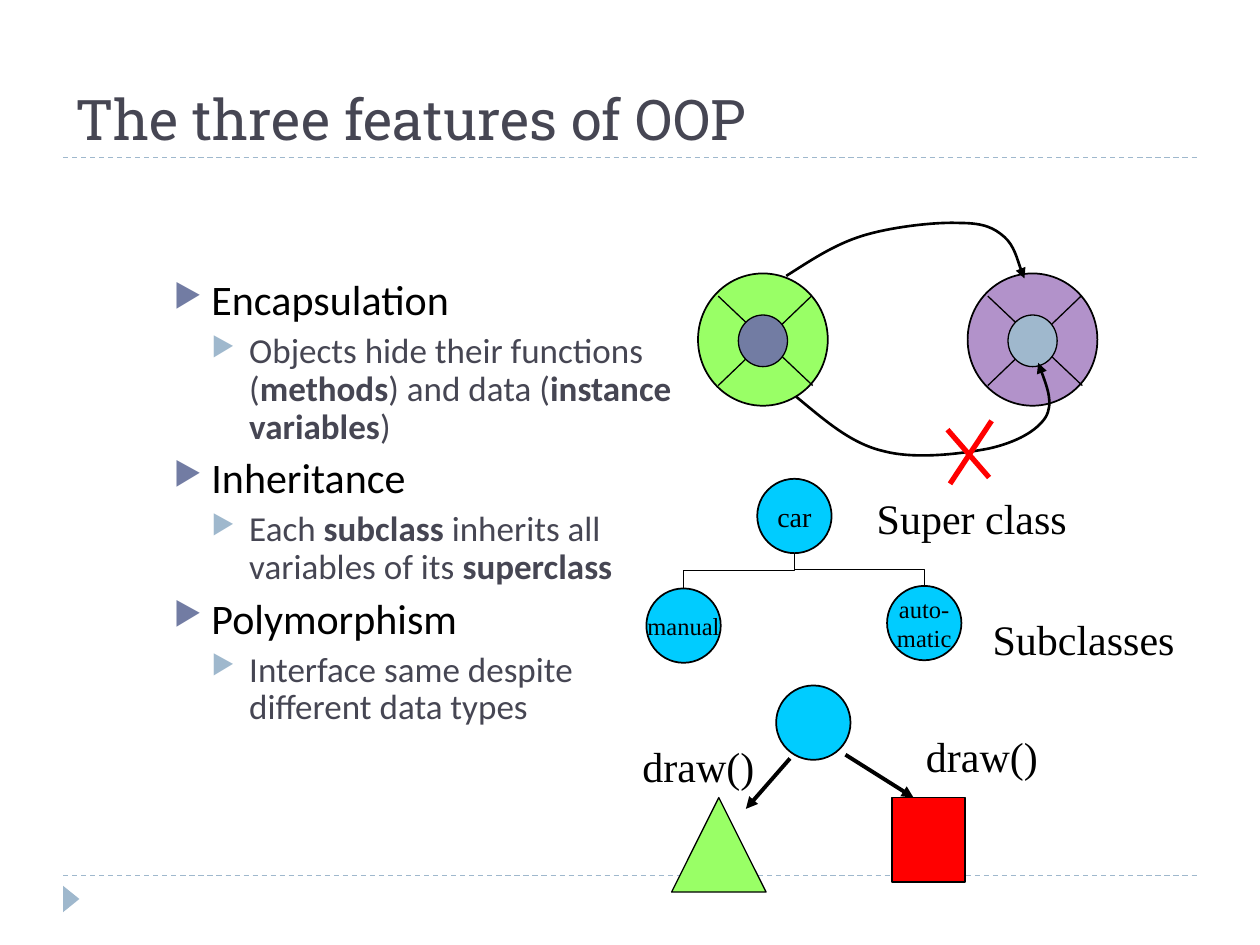
from lxml.etree import SubElement
from pptx import Presentation
from pptx.dml.color import RGBColor
from pptx.enum.dml import MSO_LINE
from pptx.enum.shapes import MSO_CONNECTOR, MSO_SHAPE
from pptx.enum.text import MSO_ANCHOR, MSO_AUTO_SIZE, PP_ALIGN
from pptx.oxml.ns import qn
from pptx.util import Inches, Pt

COLORS = {"black": "000000", "text": "464653", "slate": "727CA3", "mist": "9FB8CD",
          "green": "99FF66", "purple": "B292CA", "cyan": "00CCFF", "red": "FF0000"}
SERIF = "Times New Roman"

TITLE = "The three features of OOP"
# feature, then its explanation as (text, bold) runs
FEATURES = [
    ("Encapsulation", [("Objects hide their functions (", False), ("methods", True),
                       (") and data (", False), ("instance variables", True), (")", False)]),
    ("Inheritance", [("Each ", False), ("subclass", True),
                     (" inherits all variables of its ", False), ("superclass", True)]),
    ("Polymorphism", [("Interface same despite different data types", False)]),
]
# size, colour, left indent, space before, bullet colour
LEVELS = [(24, "black", 0.3, 6, "slate"), (20, "text", 0.6, 5, "mist")]

NODE = 0.59
PARENT = (6.01, 3.8, ["car"], 16)
CHILDREN = [(5.13, 4.67, ["manual"], 14), (7.04, 4.65, ["auto-", "matic"], 14)]
LABELS = [("Super class", 6.86, 3.86, 1.71), ("Subclasses", 7.78, 4.82, 1.7),
          ("draw()", 5, 5.83, 1.09), ("draw()", 7.25, 5.75, 1.09)]
WHEELS = [(5.54, "green", "slate"), (7.68, "purple", "mist")]
DRAW_ARROWS = [(6.27, 6.02, 5.92, 6.42), (6.71, 5.99, 7.25, 6.33)]
CROSS = [(7.52, 3.41, 7.85, 3.79), (7.54, 3.84, 7.87, 3.34)]
# start point, then groups of three Bezier points
CALLS = [
    [(6.24, 2.19), (6.43, 2.07), (6.62, 1.94), (6.85, 1.87),
     (7.08, 1.8), (7.43, 1.76), (7.62, 1.77), (7.81, 1.77), (7.89, 1.81), (7.97, 1.88),
     (8.05, 1.95), (8.1, 2.15), (8.13, 2.21)],
    [(6.32, 3.15), (6.54, 3.33), (6.75, 3.52), (7.01, 3.58),
     (7.27, 3.65), (7.64, 3.6), (7.85, 3.56), (8.07, 3.51), (8.23, 3.42), (8.3, 3.31),
     (8.36, 3.2), (8.3, 3.04), (8.24, 2.88)],
]

prs = Presentation()
prs.slide_width, prs.slide_height = Inches(10), Inches(7.5)
s = prs.slides.add_slide(prs.slide_layouts[6])


def rgb(name):
    return RGBColor.from_string(COLORS[name])


def set_line(sp, color, width, arrow=False):
    sp.line.color.rgb = rgb(color)
    sp.line.width = Pt(width)
    if arrow:
        SubElement(sp.line._get_or_add_ln(), qn("a:tailEnd"), type="triangle")


def add_run(p, text, size, font, color="black", bold=False):
    r = p.add_run()
    r.text = text
    r.font.size, r.font.name, r.font.bold = Pt(size), font, bold
    r.font.color.rgb = rgb(color)


def shape(kind, x, y, w, h, fill, width=None):
    sp = s.shapes.add_shape(kind, Inches(x), Inches(y), Inches(w), Inches(h))
    sp.shadow.inherit = False
    sp.fill.solid()
    sp.fill.fore_color.rgb = rgb(fill)
    if width:
        set_line(sp, "black", width)
    else:
        sp.line.fill.background()
    return sp


def line(x1, y1, x2, y2, color="black", width=0.75, arrow=False, kind=MSO_CONNECTOR.STRAIGHT):
    c = s.shapes.add_connector(kind, Inches(x1), Inches(y1), Inches(x2), Inches(y2))
    set_line(c, color, width, arrow)
    SubElement(c._element.spPr, qn("a:effectLst"))
    return c


def text_frame(x, y, w, h):
    tf = s.shapes.add_textbox(Inches(x), Inches(y), Inches(w), Inches(h)).text_frame
    tf.word_wrap = True
    return tf


def node(x, y, lines=(), size=14):
    sp = shape(MSO_SHAPE.OVAL, x, y, NODE, NODE, "cyan", 1)
    tf = sp.text_frame
    tf.word_wrap = False
    tf.vertical_anchor = MSO_ANCHOR.MIDDLE
    for i, text in enumerate(lines):
        p = tf.add_paragraph() if i else tf.paragraphs[0]
        p.alignment = PP_ALIGN.CENTER
        add_run(p, text, size, SERIF)


def tree_branch(x1, y1, x2, y2):
    """Elbow that leaves downwards: a sideways elbow turned about its centre."""
    half_w, half_h = abs(x2 - x1) / 2, (y2 - y1) / 2
    cx, cy = (x1 + x2) / 2, (y1 + y2) / 2
    side = 1 if x2 > x1 else -1
    c = line(cx + side * half_h, cy - half_w, cx - side * half_h, cy + half_w,
             kind=MSO_CONNECTOR.ELBOW)
    c._element.spPr.find(qn("a:xfrm")).set("rot", str((270 if side > 0 else 90) * 60000))


def curved_arrow(points):
    """Freeform whose vertices after the first are grouped into cubic curves."""
    start, *rest = [(Inches(x), Inches(y)) for x, y in points]
    fb = s.shapes.build_freeform(*start)
    fb.add_line_segments(rest, close=False)
    sp = fb.convert_to_shape()
    sp.shadow.inherit = False
    sp.fill.background()
    set_line(sp, "black", 1.5, arrow=True)
    path = next(sp._element.iter(qn("a:path")))
    steps = path.findall(qn("a:lnTo"))
    for i in range(0, len(steps), 3):
        curve = SubElement(path, qn("a:cubicBezTo"))
        for step in steps[i:i + 3]:
            curve.append(step[0])
            path.remove(step)


def feature_paragraph(p, level, runs):
    size, color, indent, before, bullet = LEVELS[level]
    p.level = level
    p.line_spacing = 0.9
    p.space_before = Pt(before)
    pPr = p._p.get_or_add_pPr()
    pPr.set("marL", str(Inches(indent)))
    pPr.set("indent", str(Inches(-0.3)))
    SubElement(SubElement(pPr, qn("a:buClr")), qn("a:srgbClr"), val=COLORS[bullet])
    SubElement(pPr, qn("a:buSzPct"), val="76000")
    SubElement(pPr, qn("a:buChar"), char="▶")
    for text, bold in runs:
        add_run(p, text, size, "Calibri", color, bold)


# Page frame and text
for y in (6.95, 1.25):
    line(0.5, y, 9.5, y, "mist").line.dash_style = MSO_LINE.DASH
shape(MSO_SHAPE.ISOSCELES_TRIANGLE, 0.46, 7.07, 0.21, 0.13, "mist").rotation = 90

tf = text_frame(0.5, 0.17, 9, 1.08)
tf.vertical_anchor = MSO_ANCHOR.BOTTOM
add_run(tf.paragraphs[0], TITLE, 32, "Roboto Slab", "text")

tf = text_frame(1.28, 2.17, 4.17, 4.5)
for i, (name, details) in enumerate(FEATURES):
    feature_paragraph(tf.add_paragraph() if i else tf.paragraphs[0], 0, [(name, False)])
    feature_paragraph(tf.add_paragraph(), 1, details)

# Encapsulation: objects with a protected core
for x, ring, hub in WHEELS:
    shape(MSO_SHAPE.OVAL, x, 2.17, 1.03, 1.05, ring, 1)
    line(x + 0.16, 3.06, x + 0.9, 2.35)
    line(x + 0.16, 2.35, x + 0.91, 3.06)
    shape(MSO_SHAPE.OVAL, x + 0.32, 2.5, 0.39, 0.41, hub, 0.75)
for points in CALLS:
    curved_arrow(points)
for ends in CROSS:
    line(*ends, color="red", width=3)

# Inheritance: class tree
node(*PARENT)
for child in CHILDREN:
    node(*child)
    tree_branch(PARENT[0] + NODE / 2, PARENT[1] + NODE, child[0] + NODE / 2, child[1])

# Polymorphism: one call, two shapes
node(6.16, 5.44)
for ends in DRAW_ARROWS:
    line(*ends, width=2.25, arrow=True)
shape(MSO_SHAPE.ISOSCELES_TRIANGLE, 5.33, 6.33, 0.75, 0.75, "green", 0.75)
shape(MSO_SHAPE.RECTANGLE, 7.08, 6.33, 0.58, 0.67, "red", 0.75)

for text, x, y, w in LABELS:
    tf = text_frame(x, y, w, 0.5)
    tf.word_wrap = False
    tf.auto_size = MSO_AUTO_SIZE.SHAPE_TO_FIT_TEXT
    add_run(tf.paragraphs[0], text, 24, SERIF)

prs.save("out.pptx")
